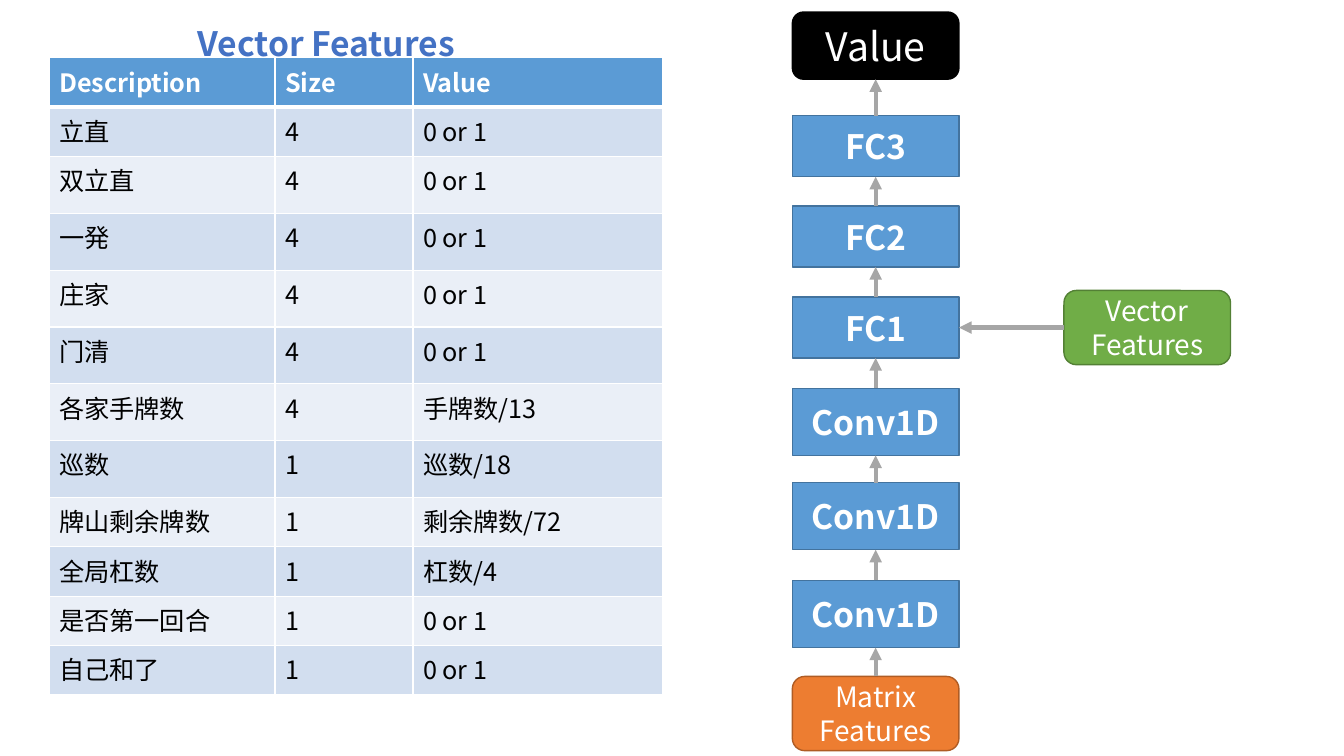
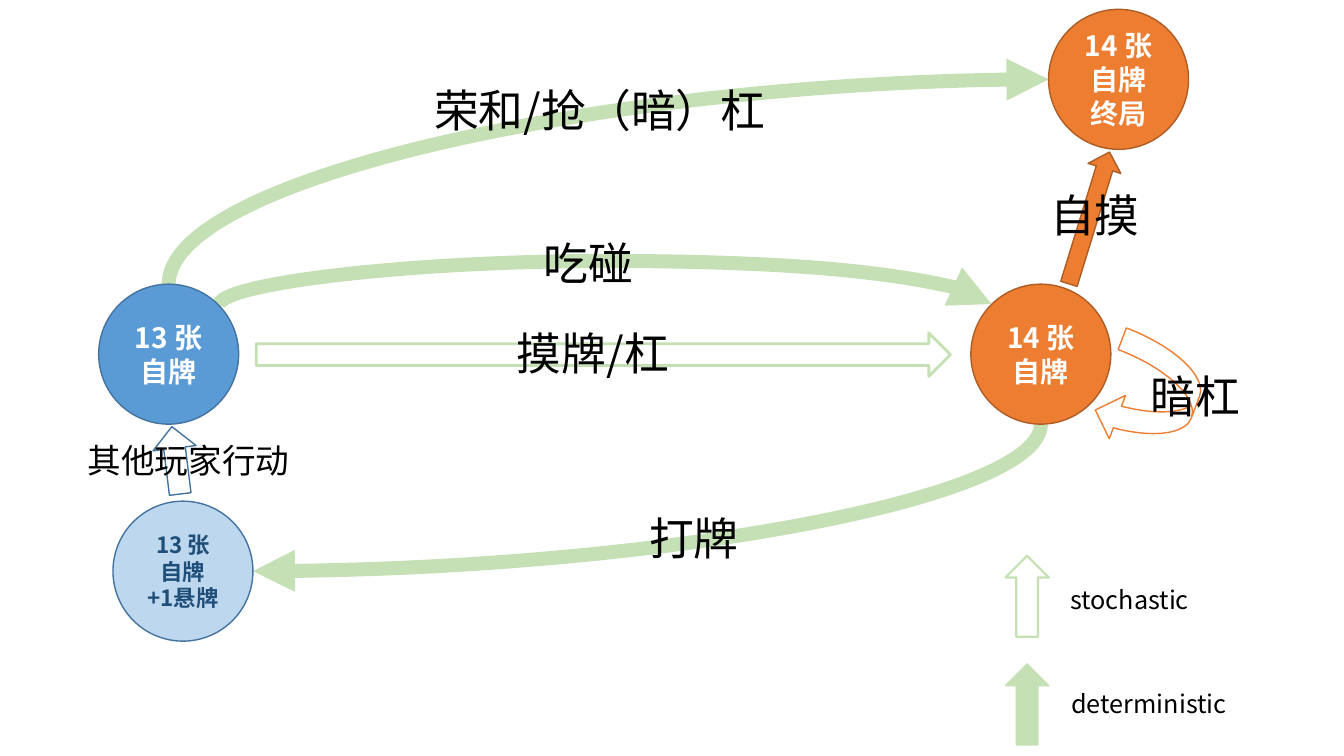
from lxml import etree
from pptx import Presentation
from pptx.dml.color import RGBColor
from pptx.enum.shapes import MSO_CONNECTOR, MSO_SHAPE
from pptx.enum.text import MSO_ANCHOR, MSO_AUTO_SIZE, PP_ALIGN
from pptx.oxml.ns import qn
from pptx.util import Pt

FONT = "Noto Sans CJK SC"
WHITE, BLACK, GREY = "FFFFFF", "000000", "A6A6A6"
BLUE, BLUE_EDGE, PALE_BLUE, NAVY = "5B9BD5", "43739E", "BDD7EE", "1F4E79"
ORANGE, ORANGE_EDGE = "ED7D31", "AF5C24"
GREEN, GREEN_EDGE, PALE_GREEN = "70AD47", "538035", "C5E0B4"
TITLE_BLUE, BAND_DARK, BAND_LIGHT = "4472C4", "D2DEEF", "EAEFF7"
colour = RGBColor.from_string


def write(frame, text, size, hue, bold=False, align=PP_ALIGN.LEFT):
    frame.word_wrap = True
    frame.text = text
    for paragraph in frame.paragraphs:
        paragraph.alignment = align
        for run in paragraph.runs:
            run.font.size = Pt(size)
            run.font.bold = bold
            run.font.color.rgb = colour(hue)
            run.font.name = FONT
            latin = run.font._element.find(qn("a:latin"))
            latin.addnext(latin.makeelement(qn("a:ea"), {"typeface": FONT}))


def draw(slide, kind, box, fill, edge, width=1, turn=0):
    shape = slide.shapes.add_shape(kind, *map(Pt, box))
    shape.shadow.inherit = False
    shape.rotation = turn
    if fill:
        shape.fill.solid()
        shape.fill.fore_color.rgb = colour(fill)
    else:
        shape.fill.background()
    shape.line.color.rgb = colour(edge)
    shape.line.width = Pt(width)
    return shape


prs = Presentation()
prs.slide_width, prs.slide_height = Pt(960), Pt(540)
network = prs.slides.add_slide(prs.slide_layouts[5])
states = prs.slides.add_slide(prs.slide_layouts[6])

title = network.shapes.title
title.left, title.top, title.width, title.height = map(Pt, (134, 13, 212, 36))
write(title.text_frame, "Vector Features", 24, TITLE_BLUE, True)
title.text_frame.auto_size = MSO_AUTO_SIZE.NONE
title.text_frame.vertical_anchor = MSO_ANCHOR.TOP

features = [
    ("Description", "Size", "Value"),
    ("立直", "4", "0 or 1"),
    ("双立直", "4", "0 or 1"),
    ("一発", "4", "0 or 1"),
    ("庄家", "4", "0 or 1"),
    ("门清", "4", "0 or 1"),
    ("各家手牌数", "4", "手牌数/13"),
    ("巡数", "1", "巡数/18"),
    ("牌山剩余牌数", "1", "剩余牌数/72"),
    ("全局杠数", "1", "杠数/4"),
    ("是否第一回合", "1", "0 or 1"),
    ("自己和了", "1", "0 or 1"),
]
table = network.shapes.add_table(
    len(features), 3, Pt(35), Pt(41.3), Pt(438), Pt(455.1)).table
for column, width in zip(table.columns, (161.5, 98.5, 178)):
    column.width = Pt(width)
for r, values in enumerate(features):
    table.rows[r].height = Pt(40.6 if 2 <= r <= 7 else 35.25)
    for c, value in enumerate(values):
        cell = table.cell(r, c)
        write(cell.text_frame, value, 18, BLACK if r else WHITE, r == 0)
        for side in "LRTB":
            thick = (r, side) in ((0, "B"), (1, "T"))
            border = etree.SubElement(cell._tc.get_or_add_tcPr(), qn(f"a:ln{side}"),
                                      w=str(Pt(3 if thick else 1)))
            paint = etree.SubElement(border, qn("a:solidFill"))
            etree.SubElement(paint, qn("a:srgbClr"), val=WHITE)
        cell.fill.solid()
        cell.fill.fore_color.rgb = colour((BAND_DARK if r % 2 else BAND_LIGHT) if r else BLUE)

BLOCK_X, BLOCK_W = 566, 119
RECT, ROUND = MSO_SHAPE.RECTANGLE, MSO_SHAPE.ROUNDED_RECTANGLE
layers = [
    ("Value", 8.6, 48, ROUND, BLACK, BLACK, 28),
    ("FC3", 82.7, 43.5, RECT, BLUE, BLUE_EDGE, 24),
    ("FC2", 147.2, 43.5, RECT, BLUE, BLUE_EDGE, 24),
    ("FC1", 212.2, 43.5, RECT, BLUE, BLUE_EDGE, 24),
    ("Conv1D", 277.3, 48, RECT, BLUE, BLUE_EDGE, 24),
    ("Conv1D", 344.7, 48, RECT, BLUE, BLUE_EDGE, 24),
    ("Conv1D", 414.6, 48, RECT, BLUE, BLUE_EDGE, 24),
    ("Matrix Features", 483.2, 53, ROUND, ORANGE, ORANGE_EDGE, 20),
]
side_input = ("Vector Features", 207.5, 53, ROUND, GREEN, GREEN_EDGE, 20)
for left, layer in [(BLOCK_X, layer) for layer in layers] + [(760, side_input)]:
    text, top, height, kind, fill, edge, size = layer
    block = draw(network, kind, (left, top, BLOCK_W, height), fill, edge)
    write(block.text_frame, text, size, WHITE, kind == RECT, PP_ALIGN.CENTER)

middle = BLOCK_X + BLOCK_W / 2
links = [(network, None, (middle, lower[1]), (middle, upper[1] + upper[2]), GREY, 3)
         for upper, lower in zip(layers, layers[1:])]
links += [
    (network, None, (760, 234), (BLOCK_X + BLOCK_W, 234), GREY, 3),
    (states, "curvedConnector2", (120.5, 203), (749, 56.7), PALE_GREEN, 10),
    (states, "curvedConnector2", (743.5, 303), (180.7, 408), PALE_GREEN, 10),
    (states, "curvedConnector3", (156.2, 218.2), (708.2, 217.2), PALE_GREEN, 10),
]
for slide, curve, (x1, y1), (x2, y2), hue, width in links:
    ends = (x1, y1, x2, y2)
    if curve:
        cx, cy, dx, dy = (x1 + x2) / 2, (y1 + y2) / 2, (x2 - x1) / 2, (y2 - y1) / 2
        ends = (cx - dy, cy + dx, cx + dy, cy - dx)
    kind = MSO_CONNECTOR.CURVE if curve else MSO_CONNECTOR.STRAIGHT
    link = slide.shapes.add_connector(kind, *map(Pt, ends))
    link.line.color.rgb = colour(hue)
    link.line.width = Pt(width)
    props = link._element.spPr
    etree.SubElement(link.line._get_or_add_ln(), qn("a:tailEnd"), type="triangle")
    etree.SubElement(props, qn("a:effectLst"))
    if curve:
        props.find(qn("a:xfrm")).set("rot", "5400000")
        geometry = props.find(qn("a:prstGeom"))
        geometry.set("prst", curve)
        if curve == "curvedConnector3":
            guides = geometry.find(qn("a:avLst"))
            if guides is None:
                guides = etree.SubElement(geometry, qn("a:avLst"))
            etree.SubElement(guides, qn("a:gd"), name="adj1", fmla="val 3200000")

ARROW, LOOP = MSO_SHAPE.RIGHT_ARROW, MSO_SHAPE.CURVED_LEFT_ARROW
for kind, box, turn, fill, edge, width in [
    (ARROW, (183, 237.8, 496, 31), 0, None, PALE_GREEN, 2),
    (ARROW, (728.8, 143.4, 98.5, 24.5), 287.1, ORANGE, ORANGE_EDGE, 1),
    (ARROW, (101.5, 313.3, 48.5, 31), 262.9, None, BLUE_EDGE, 1),
    (ARROW, (704.8, 410.4, 57.8, 31), 270, None, PALE_GREEN, 1.5),
    (ARROW, (704.8, 487.6, 57.8, 31), 270, PALE_GREEN, PALE_GREEN, 1),
    (LOOP, (788.4, 243.4, 66.2, 79.2), 20.7, None, ORANGE, 1),
]:
    draw(states, kind, box, fill, edge, width, turn)

DIAMETER = 100
for text, left, top, fill, edge, size, hue in [
    ("14 张 自牌", 693.5, 203, ORANGE, ORANGE_EDGE, 20, WHITE),
    ("14 张 自牌\n终局", 749, 6.7, ORANGE, ORANGE_EDGE, 20, WHITE),
    ("13 张 自牌", 70.5, 203, BLUE, BLUE_EDGE, 20, WHITE),
    ("13 张 自牌\n+1悬牌", 80.7, 358, PALE_BLUE, BLUE_EDGE, 16, NAVY),
]:
    node = draw(states, MSO_SHAPE.OVAL, (left, top, DIAMETER, DIAMETER), fill, edge)
    write(node.text_frame, text, size, hue, True, PP_ALIGN.CENTER)

for text, left, top, width, height, size in [
    ("荣和/抢（暗）杠", 303, 55.4, 317, 46, 32),
    ("吃碰", 381, 165, 84, 46, 32),
    ("摸牌/杠", 362, 229, 206, 46, 32),
    ("打牌", 456.5, 361, 84, 46, 32),
    ("自摸", 743, 130.3, 84, 46, 32),
    ("暗杠", 815, 260, 84, 46, 32),
    ("其他玩家行动", 55.5, 311, 265, 36, 24),
    ("stochastic", 757.5, 414, 133, 29, 18),
    ("deterministic", 758.2, 488.2, 133, 29, 18),
]:
    label = states.shapes.add_textbox(*map(Pt, (left, top, width, height)))
    write(label.text_frame, text, size, BLACK)

prs.save("out.pptx")
